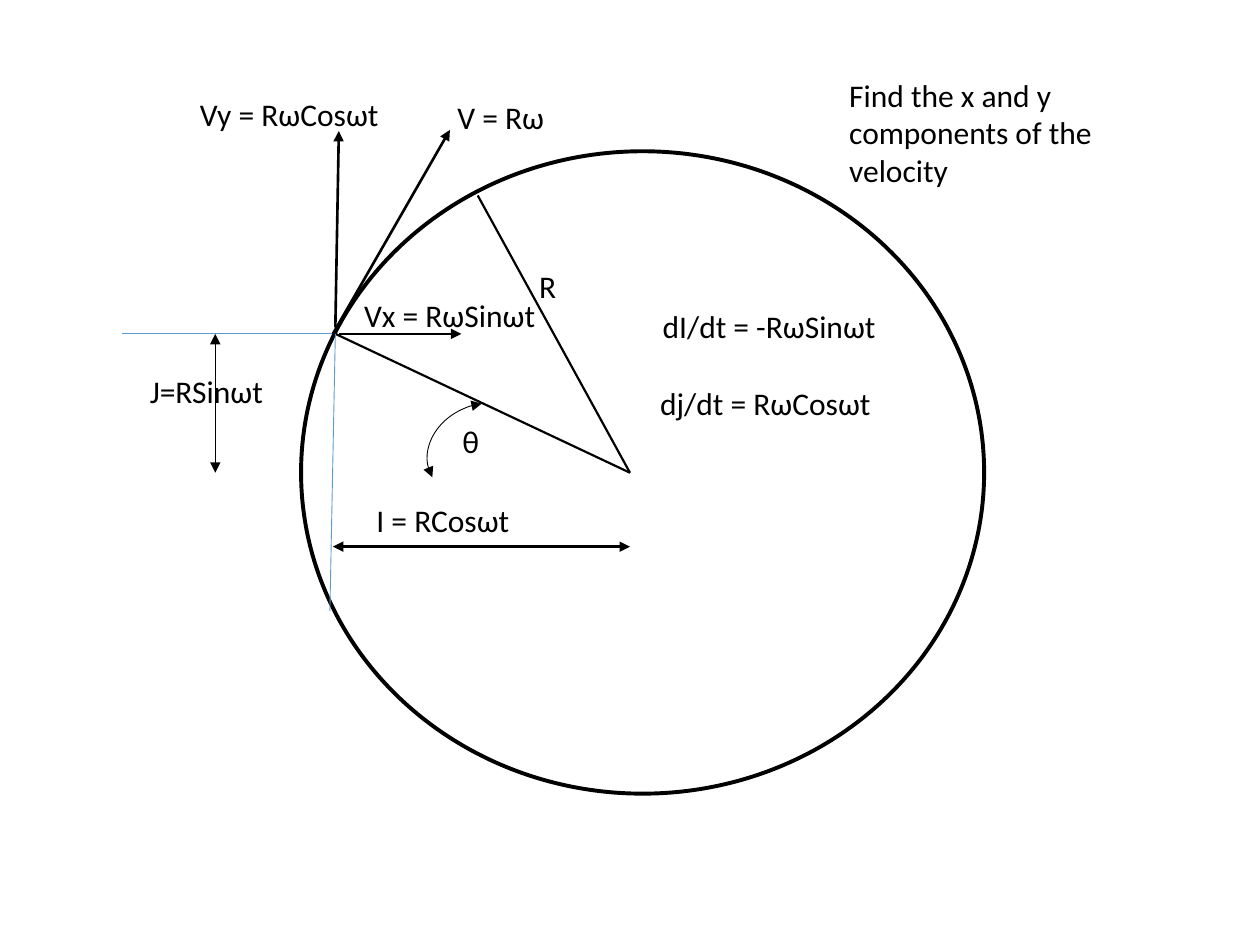
import pptx
import pptx.dml.color
import pptx.enum.shapes
import pptx.enum.text
import pptx.oxml
import pptx.oxml.ns
import pptx.util
from lxml import etree

Cm = pptx.util.Cm
Pt = pptx.util.Pt
SHAPE = pptx.enum.shapes.MSO_SHAPE

BLACK = pptx.dml.color.RGBColor(0x00, 0x00, 0x00)
WHITE = pptx.dml.color.RGBColor(0xFF, 0xFF, 0xFF)
BLUE = pptx.dml.color.RGBColor(0x5B, 0x9B, 0xD5)

# Key points of the diagram, in cm
CENTRE = (12.7, 9.53)
POINT = (6.76, 6.73)


def style_line(s, width, color=BLACK, head=False, tail=False):
    """Set the outline and its arrowheads."""
    s.line.color.rgb = color
    s.line.width = Pt(width)
    ln = s.line._get_or_add_ln()
    for shown, tag in ((head, "a:headEnd"), (tail, "a:tailEnd")):
        if shown:
            etree.SubElement(ln, pptx.oxml.ns.qn(tag), type="triangle")


def add_line(s, start, end, width, **style):
    x1, y1 = start
    x2, y2 = end
    line = s.shapes.add_connector(
        pptx.enum.shapes.MSO_CONNECTOR.STRAIGHT, Cm(x1), Cm(y1), Cm(x2), Cm(y2))
    style_line(line, width, **style)
    etree.SubElement(line._element.spPr, pptx.oxml.ns.qn("a:effectLst"))


def add_outline(s, shape, x, y, w, h, width, **style):
    sp = s.shapes.add_shape(shape, Cm(x), Cm(y), Cm(w), Cm(h))
    sp.shadow.inherit = False
    sp.fill.background()
    style_line(sp, width, **style)
    return sp


def add_label(s, text, x, y, w, h=1.02):
    tf = s.shapes.add_textbox(Cm(x), Cm(y), Cm(w), Cm(h)).text_frame
    tf.word_wrap = True
    tf.auto_size = pptx.enum.text.MSO_AUTO_SIZE.SHAPE_TO_FIT_TEXT
    r = tf.paragraphs[0].add_run()
    r.text = text
    r.font.name = "Calibri"
    r.font.size = Pt(18)
    r.font.color.rgb = BLACK


def main():
    prs = pptx.Presentation()
    prs.slide_width, prs.slide_height = Cm(25.4), Cm(19.05)
    s = prs.slides.add_slide(prs.slide_layouts[6])

    # Circle and two radii
    circle = add_outline(s, SHAPE.OVAL, 6.07, 3.05, 13.77, 12.95, 2.25)
    circle.fill.solid()
    circle.fill.fore_color.rgb = WHITE
    add_line(s, CENTRE, (9.63, 3.94), 1.25)
    add_line(s, CENTRE, POINT, 1.25)

    # Angle arc
    arc = add_outline(s, SHAPE.ARC, 8.79, 7.95, 1.88, 2.29, 0.5,
                      head=True, tail=True)
    arc.rotation = 248.1
    arc.adjustments[0] = 158.67
    arc.adjustments[1] = 12.59

    # Guide lines through the moving point
    add_line(s, (6.71, POINT[1]), (2.46, POINT[1]), 0.5, color=BLUE)
    add_line(s, POINT, (6.65, 12.32), 0.5, color=BLUE)

    # Dimensions J and I
    add_line(s, (4.34, POINT[1]), (4.34, CENTRE[1]), 0.5, head=True, tail=True)
    add_line(s, (6.71, 11.02), (CENTRE[0], 11.02), 1.5, head=True, tail=True)

    # Velocity and its components
    for start, end in (
        ((6.71, 6.73), (9.07, 2.62)),
        ((6.76, 6.6), (6.83, 2.64)),
        ((6.83, 6.73), (9.3, 6.73)),
    ):
        add_line(s, start, end, 1.5, tail=True)

    # Labels: text, left, top, width
    for label in (
        ("θ", 9.07, 8.38, 1.12),
        ("V = Rω", 8.97, 1.85, 2.44),
        ("R", 10.62, 5.26, 1.12),
        ("I = RCosωt", 7.34, 9.98, 4.06),
        ("J=RSinωt", 2.77, 7.37, 3.33),
        ("Vy = RωCosωt", 3.78, 1.8, 4.72),
        ("Vx = RωSinωt", 7.09, 5.84, 4.72),
        ("dI/dt = -RωSinωt", 13.11, 6.07, 5.49),
        ("dj/dt = RωCosωt", 13.06, 7.62, 5.49),
    ):
        add_label(s, *label)

    # Task
    add_label(s, "Find the x and y components of the velocity",
              16.87, 1.4, 6.6, 3.33)

    prs.save("out.pptx")


if __name__ == "__main__":
    main()
